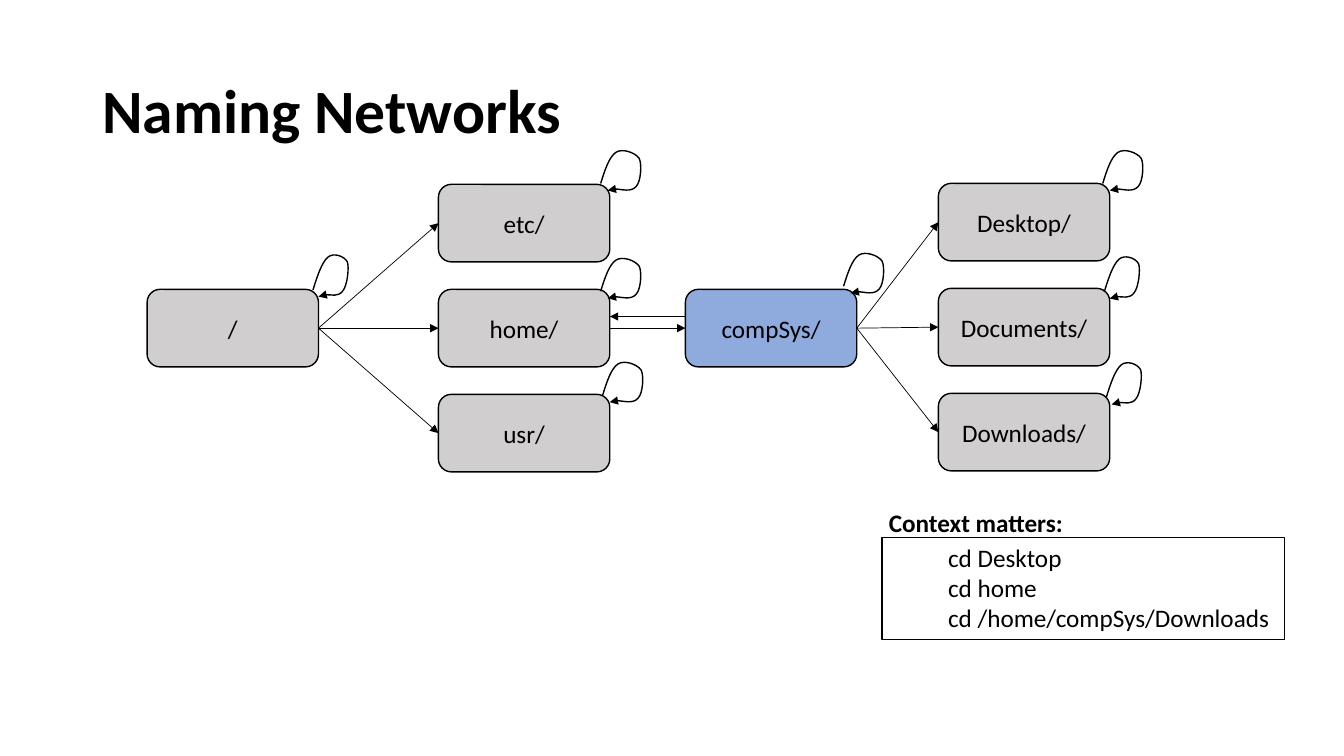
from lxml.etree import SubElement
from pptx import Presentation
from pptx.dml.color import RGBColor
from pptx.enum.shapes import MSO_CONNECTOR as Connector, MSO_SHAPE as Shape
from pptx.enum.text import MSO_ANCHOR as Anchor, PP_ALIGN as Align
from pptx.oxml.ns import qn
from pptx.util import Pt

BLACK = RGBColor(0x00, 0x00, 0x00)
GRAY = RGBColor(0xD0, 0xCE, 0xCE)
BLUE = RGBColor(0x8F, 0xAA, 0xDC)

NODE_WIDTH, NODE_HEIGHT = 122.4, 55.4
ROW_PITCH = 75
ROOT_X, FOLDER_X, USER_X, CONTENT_X = 105.1, 313.2, 489.6, 670.3
FOLDER_TOP, CONTENT_TOP = 131.7, 131
WIDE, NARROW = (25.2, 31), (20.9, 32.4)
LOOP_START = (0.01, 0.89)
LOOP_CURVES = [
    [(0, 0.57), (0, 0.25), (0.14, 0.1)],
    [(0.27, -0.04), (0.65, -0.04), (0.82, 0.06)],
    [(0.94, 0.15), (1.08, 0.55), (0.99, 0.7)],
    [(0.9, 0.87), (0.23, 0.9), (0.26, 0.99)],
]

NODES = [
    ("/", ROOT_X, FOLDER_TOP + ROW_PITCH, GRAY, (226.8, 182.2), NARROW),
    ("etc/", FOLDER_X, FOLDER_TOP, GRAY, (432, 108), WIDE),
    ("home/", FOLDER_X, FOLDER_TOP + ROW_PITCH, GRAY, (432, 185), WIDE),
    ("usr/", FOLDER_X, FOLDER_TOP + 2 * ROW_PITCH, GRAY, (433.4, 259.2), WIDE),
    ("compSys/", USER_X, FOLDER_TOP + ROW_PITCH, BLUE, (605.5, 181.4), WIDE),
    ("Desktop/", CONTENT_X, CONTENT_TOP, GRAY, (790.6, 108), WIDE),
    ("Documents/", CONTENT_X, CONTENT_TOP + ROW_PITCH, GRAY, (792, 183.6), NARROW),
    ("Downloads/", CONTENT_X, CONTENT_TOP + 2 * ROW_PITCH, GRAY, (793.4, 259.2), NARROW),
]
CHILDREN = {
    "/": ["etc/", "home/", "usr/"],
    "home/": ["compSys/"],
    "compSys/": ["Desktop/", "Documents/", "Downloads/"],
}


def write_text(shape, text, size=18, bold=False, align=Align.LEFT):
    shape.text_frame.text = text
    for paragraph in shape.text_frame.paragraphs:
        paragraph.alignment = align
        for run in paragraph.runs:
            run.font.name = "Calibri"
            run.font.size = Pt(size)
            run.font.bold = bold
            run.font.color.rgb = BLACK


def style_line(shape, width):
    shape.line.color.rgb = BLACK
    shape.line.width = Pt(width)


def add_arrowhead(shape):
    SubElement(shape.line._get_or_add_ln(), qn("a:tailEnd"), type="triangle")


def add_label(slide, text, left, top, width, height, size=18, wrap=True):
    label = slide.shapes.add_textbox(Pt(left), Pt(top), Pt(width), Pt(height))
    label.text_frame.word_wrap = wrap
    write_text(label, text, size, bold=True)
    return label


def add_box(slide, kind, text, left, top, width, height, align):
    box = slide.shapes.add_shape(kind, Pt(left), Pt(top), Pt(width), Pt(height))
    box.shadow.inherit = False
    style_line(box, 1)
    write_text(box, text, align=align)
    return box


def add_node(slide, name, left, top, color):
    node = add_box(slide, Shape.ROUNDED_RECTANGLE, name, left, top,
                   NODE_WIDTH, NODE_HEIGHT, Align.CENTER)
    node.fill.solid()
    node.fill.fore_color.rgb = color
    node.text_frame.vertical_anchor = Anchor.MIDDLE
    return node


def add_arrow(slide, start=(0, 0), end=(0, 0), source=None, target=None):
    arrow = slide.shapes.add_connector(
        Connector.STRAIGHT, Pt(start[0]), Pt(start[1]), Pt(end[0]), Pt(end[1]))
    if source is not None:
        arrow.begin_connect(source, 3)
        arrow.end_connect(target, 1)
    style_line(arrow, 0.5)
    add_arrowhead(arrow)
    SubElement(arrow.element.spPr, qn("a:effectLst"))


def add_loop(slide, position, size):
    width, height = Pt(size[0]), Pt(size[1])
    builder = slide.shapes.build_freeform(0, 0)
    builder.add_line_segments([(width, height)], close=False)
    loop = builder.convert_to_shape(Pt(position[0]), Pt(position[1]))
    outline = loop.element.find(".//" + qn("a:path"))
    for segment in list(outline):
        outline.remove(segment)
    segments = [("a:moveTo", [LOOP_START])]
    segments += [("a:cubicBezTo", curve) for curve in LOOP_CURVES]
    for tag, points in segments:
        segment = SubElement(outline, qn(tag))
        for x, y in points:
            SubElement(segment, qn("a:pt"),
                       x=str(round(x * width)), y=str(round(y * height)))
    loop.rotation = 18.3
    loop.shadow.inherit = False
    loop.fill.background()
    style_line(loop, 1)
    add_arrowhead(loop)


def add_commands(slide):
    commands = add_box(slide, Shape.RECTANGLE,
                       "cd Desktop\ncd home\ncd /home/compSys/Downloads",
                       630, 383.8, 287.3, 72.7, Align.LEFT)
    commands.fill.background()
    commands.line.width = Pt(0.75)
    commands.text_frame.margin_left = Pt(47.2)
    commands.text_frame.vertical_anchor = Anchor.TOP


def main():
    presentation = Presentation()
    presentation.slide_width, presentation.slide_height = Pt(960), Pt(540)
    slide = presentation.slides.add_slide(presentation.slide_layouts[6])

    title = add_label(slide, "Naming Networks", 66, 28.8, 828, 104.4, size=44)
    title.text_frame.vertical_anchor = Anchor.MIDDLE
    title.text_frame.paragraphs[0].line_spacing = 0.9

    nodes = {}
    for name, left, top, color, loop_position, loop_size in NODES:
        nodes[name] = add_node(slide, name, left, top, color)
        add_loop(slide, loop_position, loop_size)
    for parent, children in CHILDREN.items():
        for child in children:
            add_arrow(slide, source=nodes[parent], target=nodes[child])
    add_arrow(slide, (USER_X, 226.1), (FOLDER_X + NODE_WIDTH, 226.1))

    add_commands(slide)
    add_label(slide, "Context matters:", 627.8, 358.6, 140.4, 29.1, wrap=False)
    presentation.save("out.pptx")


if __name__ == "__main__":
    main()
